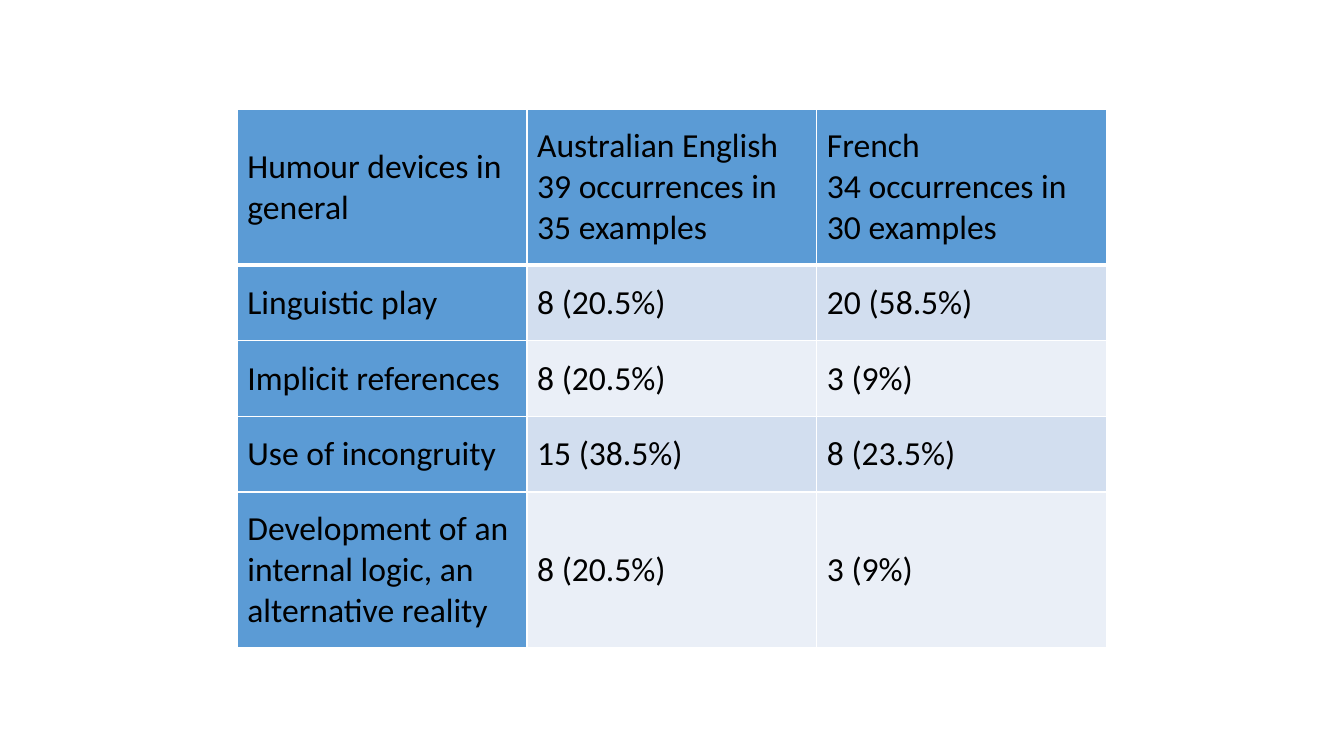
"""Build a slide with a table of humour devices in two languages."""
import lxml.etree
import pptx
import pptx.dml.color
import pptx.enum.text
import pptx.oxml.ns
import pptx.util

Pt = pptx.util.Pt
RGBColor = pptx.dml.color.RGBColor

BLACK = RGBColor(0x00, 0x00, 0x00)
WHITE = RGBColor(0xFF, 0xFF, 0xFF)
BLUE = RGBColor(0x5B, 0x9B, 0xD5)
BANDS = (RGBColor(0xEA, 0xEF, 0xF7), RGBColor(0xD2, 0xDE, 0xEF))

ROWS = (
    ("Humour devices in general",
     "Australian English\n39 occurrences in 35 examples",
     "French\n34 occurrences in 30 examples"),
    ("Linguistic play", "8 (20.5%)", "20 (58.5%)"),
    ("Implicit references", "8 (20.5%)", "3 (9%)"),
    ("Use of incongruity", "15 (38.5%)", "8 (23.5%)"),
    ("Development of an internal logic, an alternative reality",
     "8 (20.5%)", "3 (9%)"),
)
TALL, LOW = 111, 54
HEIGHTS = (TALL, LOW, LOW, LOW, TALL)
WIDTH = 207


def add_edge(cell, side, width):
    qn = pptx.oxml.ns.qn
    props = cell._tc.get_or_add_tcPr()
    line = lxml.etree.SubElement(props, qn("a:" + side), w=str(Pt(width)))
    fill = lxml.etree.SubElement(line, qn("a:solidFill"))
    lxml.etree.SubElement(fill, qn("a:srgbClr"), val=str(WHITE))


def fill_cell(cell, text, color, base):
    for side, width in (("lnL", 1), ("lnR", 1), ("lnT", 1), ("lnB", base)):
        add_edge(cell, side, width)
    cell.fill.solid()
    cell.fill.fore_color.rgb = color
    cell.vertical_anchor = pptx.enum.text.MSO_ANCHOR.MIDDLE
    cell.text = text
    for para in cell.text_frame.paragraphs:
        para.font.name = "Calibri"
        para.font.size = Pt(24)
        para.font.bold = False
        para.font.color.rgb = BLACK


def add_grid(slide, left, top):
    count = len(ROWS[0])
    frame = slide.shapes.add_table(
        len(ROWS), count, Pt(left), Pt(top),
        Pt(WIDTH * count), Pt(sum(HEIGHTS)))
    table = frame.table
    table.first_row = False
    table.horz_banding = False
    for column in table.columns:
        column.width = Pt(WIDTH)
    for r, (texts, height) in enumerate(zip(ROWS, HEIGHTS)):
        table.rows[r].height = Pt(height)
        for c, text in enumerate(texts):
            color = BANDS[r % 2] if r and c else BLUE
            fill_cell(table.cell(r, c), text, color, 1 if r else 3)


def main():
    deck = pptx.Presentation()
    deck.slide_width, deck.slide_height = Pt(960), Pt(540)
    slide = deck.slides.add_slide(deck.slide_layouts[6])
    add_grid(slide, 169.5, 78.5)
    deck.save("out.pptx")


if __name__ == "__main__":
    main()
